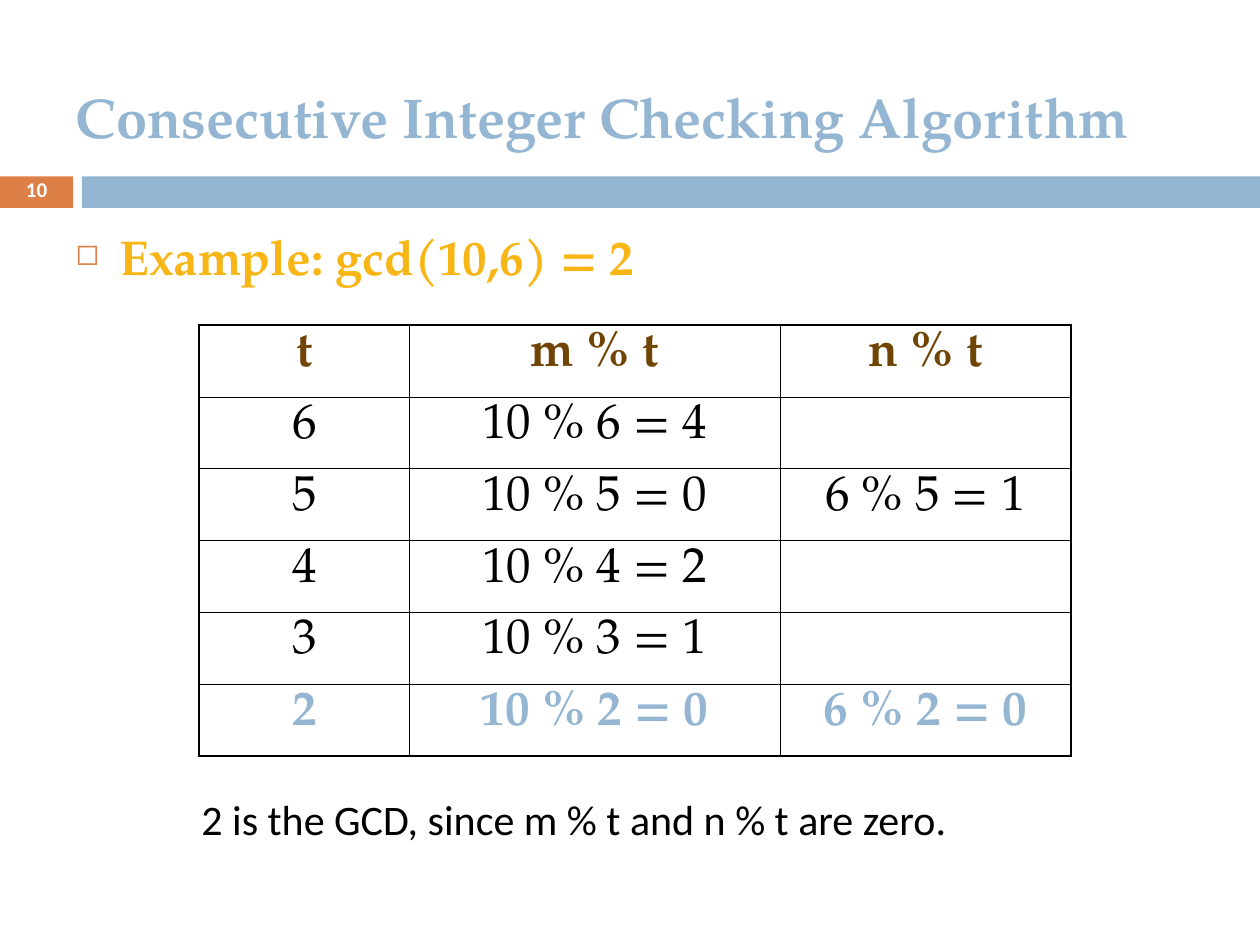
from lxml import etree
from pptx import Presentation
from pptx import util as u
from pptx.dml.color import RGBColor
from pptx.enum import shapes, text
from pptx.oxml.ns import qn

SERIF, SANS = "TeX Gyre Pagella", "Calibri"
BLUE, ORANGE, GOLD, BROWN = "94B6D2", "DD8047", "F7B615", "704404"
BLACK, WHITE = "000000", "FFFFFF"
THIN, THICK = 0.45, 1.08
LEFT, CENTER = text.PP_ALIGN.LEFT, text.PP_ALIGN.CENTER
TOP, MIDDLE = text.MSO_ANCHOR.TOP, text.MSO_ANCHOR.MIDDLE

COLUMN_WIDTHS = [1.67, 2.94, 2.31]
ROW_HEIGHT = 0.57
STEPS = [
    ("t", "m % t", "n % t"),
    ("6", "10 % 6 = 4", ""),
    ("5", "10 % 5 = 0", "6 % 5 = 1"),
    ("4", "10 % 4 = 2", ""),
    ("3", "10 % 3 = 1", ""),
    ("2", "10 % 2 = 0", "6 % 2 = 0"),
]


def color(value):
    """Turn a hex string into a colour."""
    return RGBColor.from_string(value)


def inches(values):
    """Turn a left, top, width, height sequence into lengths."""
    return [u.Inches(value) for value in values]


def write(frame, words, font, size, ink, bold=False, align=LEFT, before=0):
    """Fill the first paragraph of a text frame with one run."""
    para = frame.paragraphs[0]
    para.alignment = align
    para.space_before = u.Pt(before)
    span = para.add_run()
    span.text = words
    span.font.name = font
    span.font.size = u.Pt(size)
    span.font.bold = bold
    span.font.color.rgb = color(ink)
    return para


def add_title(page, words):
    """Place and fill the title placeholder."""
    title = page.shapes.title
    title.left, title.top, title.width, title.height = inches((0.5, 0.3, 9, 1.25))
    frame = title.text_frame
    frame.auto_size = text.MSO_AUTO_SIZE.NONE
    frame.vertical_anchor = MIDDLE
    write(frame, words, SERIF, 32, BLUE, bold=True)


def add_bar(page, place, fill):
    """Add a plain filled rectangle."""
    bar = page.shapes.add_shape(shapes.MSO_SHAPE.RECTANGLE, *inches(place))
    bar.shadow.inherit = False
    bar.fill.solid()
    bar.fill.fore_color.rgb = color(fill)
    bar.line.fill.background()


def add_text(page, place, *content, anchor=TOP, **style):
    """Add a wrapping text box and return its paragraph."""
    frame = page.shapes.add_textbox(*inches(place)).text_frame
    frame.word_wrap = True
    frame.vertical_anchor = anchor
    return write(frame, *content, **style)


def add_bullet(para, mark, ink, percent, indent):
    """Give a paragraph a hanging bullet."""
    props = para._p.get_or_add_pPr()
    props.set("marL", str(u.Inches(indent)))
    props.set("indent", str(-u.Inches(indent)))
    tint = etree.SubElement(props, qn("a:buClr"))
    etree.SubElement(tint, qn("a:srgbClr"), val=ink)
    etree.SubElement(props, qn("a:buSzPct"), val=str(percent * 1000))
    etree.SubElement(props, qn("a:buChar"), char=mark)


def set_borders(cell, widths):
    """Draw black left, right, top and bottom borders on a cell."""
    props = cell._tc.get_or_add_tcPr()
    for side, width in zip("LRTB", widths):
        line = etree.SubElement(props, qn(f"a:ln{side}"), w=str(u.Pt(width)))
        fill = etree.SubElement(line, qn("a:solidFill"))
        etree.SubElement(fill, qn("a:srgbClr"), val=BLACK)


def add_steps_table(page):
    """Add the table of trial divisors, with a heavier outer frame."""
    last_row, last_column = len(STEPS) - 1, len(COLUMN_WIDTHS) - 1
    place = (1.58, 2.58, sum(COLUMN_WIDTHS), ROW_HEIGHT * len(STEPS))
    table = page.shapes.add_table(len(STEPS), len(COLUMN_WIDTHS), *inches(place)).table
    for column, width in zip(table.columns, COLUMN_WIDTHS):
        column.width = u.Inches(width)
    inks = {0: BROWN, last_row: BLUE}
    for r, step in enumerate(STEPS):
        table.rows[r].height = u.Inches(ROW_HEIGHT)
        for c, words in enumerate(step):
            cell = table.cell(r, c)
            outer = (c == 0, c == last_column, r == 0, r == last_row)
            set_borders(cell, [THICK if edge else THIN for edge in outer])
            cell.fill.background()
            if words:
                write(cell.text_frame, words, SERIF, 28, inks.get(r, BLACK),
                      bold=r in inks, align=CENTER, before=7)


def main():
    """Build the slide and save it."""
    deck = Presentation()
    deck.slide_width, deck.slide_height = u.Inches(10), u.Inches(7.5)
    page = deck.slides.add_slide(deck.slide_layouts[5])
    add_bar(page, (0, 1.4, 0.58, 0.25), ORANGE)
    add_bar(page, (0.65, 1.4, 9.35, 0.25), BLUE)
    number = add_text(page, (0, 1.39, 0.58, 0.27), "10", SANS, 12, WHITE,
                      bold=True, align=CENTER, anchor=MIDDLE)
    number.line_spacing = 0.7
    add_title(page, "Consecutive Integer Checking Algorithm")
    example = add_text(page, (0.5, 1.75, 4.67, 4.95), "Example: gcd(10,6) = 2",
                       SERIF, 28, GOLD, bold=True, before=7)
    add_bullet(example, "◻", ORANGE, 60, 0.35)
    add_steps_table(page)
    add_text(page, (1.5, 6.25, 7.25, 0.5), "2 is the GCD, since m % t and n % t are zero.",
             SANS, 24, BLACK, before=15)
    deck.save("out.pptx")


if __name__ == "__main__":
    main()
